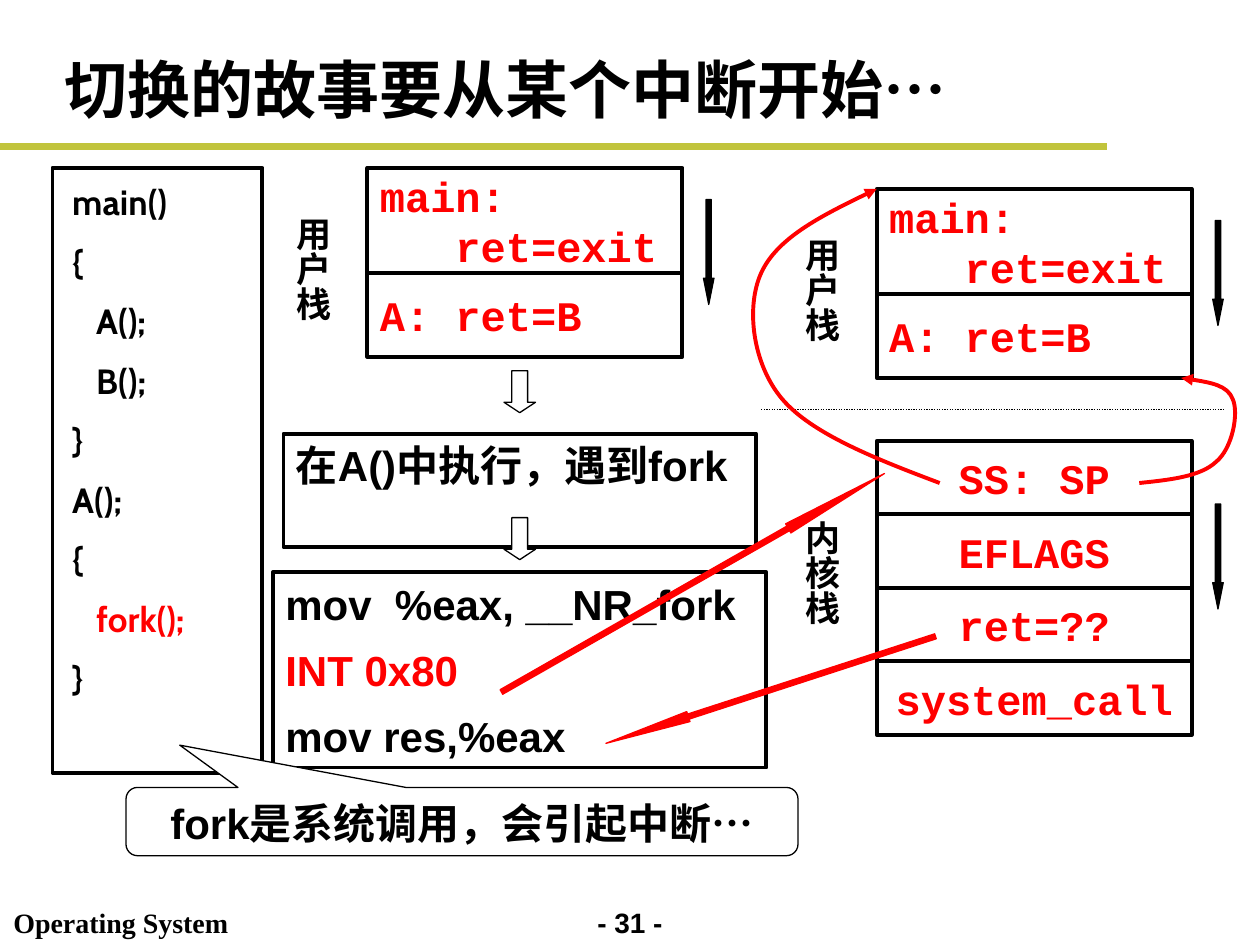
"""Build the slide on how a fork interrupt switches from the user stack to the kernel stack."""
from itertools import accumulate
from lxml.etree import SubElement
from pptx import Presentation
from pptx.dml.color import RGBColor
from pptx.enum.dml import MSO_LINE
from pptx.enum.lang import MSO_LANGUAGE_ID
from pptx.enum.shapes import MSO_CONNECTOR, MSO_SHAPE
from pptx.enum.text import MSO_ANCHOR, PP_ALIGN
from pptx.oxml.ns import qn
from pptx.util import Inches, Pt

THEME = {
    "black": "000000", "red": "FF0000", "white": "FFFFFF", "olive": "C1C43C",
    "sans": "Arial", "code": "Cabin", "mono": "Courier New", "serif": "Times New Roman",
    "title": 36, "body": 24, "small": 20, "footer": 16,
    "thin": 0.75, "border": 2.25, "rule": 4,
}
COLUMNS, ROWS = 120, 90

TITLE = "切换的故事要从某个中断开始…"
PROGRAM = [("main()", 0, "black"), ("{", 0, "black"), ("A();", 0.19, "black"),
           ("B();", 0.19, "black"), ("}", 0, "black"), ("A();", 0, "black"),
           ("{", 0, "black"), ("fork();", 0.19, "red"), ("}", 0, "black")]
USER_FRAMES = [([("main:", 0, "red"), ("ret=exit", 0.6, "red")], 10),
               ([("A: ret=B", 0, "red")], 8)]
KERNEL_FRAMES = [([(word, 0, "red")], 7) for word in ("SS: SP", "EFLAGS", "ret=??", "system_call")]
STACKS = [
    {"label": "用户栈", "corner": (35, 16), "frames": USER_FRAMES, "label_at": (26, 19.4),
     "growth_at": (62.5, 23.5), "align": PP_ALIGN.LEFT},
    {"label": "用户栈", "corner": (83.5, 18), "frames": USER_FRAMES, "label_at": (74.5, 21.4),
     "growth_at": (111, 25.5), "align": PP_ALIGN.LEFT},
    {"label": "内核栈", "corner": (83.5, 42), "frames": KERNEL_FRAMES, "label_at": (74.5, 48.4),
     "growth_at": (111, 52.5), "align": PP_ALIGN.CENTER},
]
ENCOUNTER = [("在A()中执行，遇到fork", 0, "black")]
ASSEMBLY = [("mov  %eax, __NR_fork", 0, "black"), ("INT 0x80", 0, "red"),
            ("mov res,%eax", 0, "black")]
REMARK = [("fork是系统调用，会引起中断…", 0, "black")]
POINTER_CURVES = [
    [(108.5, 46), (111.4, 45.7), (114.3, 45.4), (115.8, 44), (117.4, 42.7),
     (118, 39.3), (117.4, 38), (116.9, 36.7), (114.7, 36.3), (112.5, 36)],
    [(89.5, 46), (83.4, 43.7), (77.3, 41.3), (74.5, 38), (71.7, 34.7),
     (71, 29.3), (72.5, 26), (74, 22.7), (78.7, 20.3), (83.5, 18)],
]
STEP_ARROWS = [(48, 35.3), (48, 49.3)]
JUMP_ARROWS = [((45, 55, 42, 1), 330.3, 10.53), ((56.9, 65.2, 33, 1), 162, 8.24)]

deck = Presentation()
deck.slide_width, deck.slide_height = Inches(10), Inches(7.5)
slide = deck.slides.add_slide(deck.slide_layouts[6])
shapes = slide.shapes


def place(x, y):
    return int(deck.slide_width * x / COLUMNS), int(deck.slide_height * y / ROWS)


def color(name):
    return RGBColor.from_string(THEME[name])


def write(owner, lines, size, font="sans", align=PP_ALIGN.LEFT, before=0,
          anchor=MSO_ANCHOR.TOP):
    frame = owner.text_frame
    frame.word_wrap, frame.vertical_anchor = True, anchor
    frame.text = "\n".join(words for words, _, _ in lines)
    for paragraph, (_, indent, ink) in zip(frame.paragraphs, lines):
        paragraph.alignment, paragraph.space_before = align, Pt(before)
        paragraph._p.get_or_add_pPr().set("marL", str(Inches(indent)))
        for run in paragraph.runs:
            run.font.name, run.font.size, run.font.bold = THEME[font], Pt(THEME[size]), True
            run.font.color.rgb = color(ink)
            run.font.language_id = MSO_LANGUAGE_ID.SIMPLIFIED_CHINESE
    return frame


def add_text(box, lines, size, **style):
    return write(shapes.add_textbox(*place(*box[:2]), *place(*box[2:])), lines, size, **style)


def add_block(box, kind=MSO_SHAPE.RECTANGLE, fill="white", line="black", width="thin",
              adjustments=(), turn=0):
    block = shapes.add_shape(kind, *place(*box[:2]), *place(*box[2:]))
    block.shadow.inherit = False
    if fill:
        block.fill.solid()
        block.fill.fore_color.rgb = color(fill)
    else:
        block.fill.background()
    block.line.color.rgb, block.line.width = color(line), Pt(THEME[width])
    for index, value in enumerate(adjustments):
        block.adjustments[index] = value
    block.rotation = turn
    return block


def add_rule(start, end, ink, width):
    rule = shapes.add_connector(MSO_CONNECTOR.STRAIGHT, *place(*start), *place(*end))
    rule.line.color.rgb, rule.line.width = color(ink), Pt(THEME[width])
    SubElement(rule._element.spPr, qn("a:effectLst"))
    return rule


def add_curve(points):
    first, *rest = [place(*point) for point in points]
    builder = shapes.build_freeform(*first)
    builder.add_line_segments(rest, close=False)
    curve = builder.convert_to_shape()
    curve.shadow.inherit = False
    curve.fill.background()
    curve.line.color.rgb, curve.line.width = color("red"), Pt(THEME["border"])
    SubElement(curve.line._get_or_add_ln(), qn("a:tailEnd"), type="triangle")
    segments = list(curve._element.iter(qn("a:lnTo")))
    outline = segments[0].getparent()
    for index in range(0, len(segments), 3):
        bezier = SubElement(outline, qn("a:cubicBezTo"))
        for segment in segments[index:index + 3]:
            bezier.append(segment[0])
            outline.remove(segment)


def add_stack(stack):
    left, top = stack["corner"]
    heights = [height for _, height in stack["frames"]]
    for (lines, height), y in zip(stack["frames"], accumulate(heights, initial=top)):
        write(add_block((left, y, 30, height), width="border"), lines, "body", font="mono",
              align=stack["align"], anchor=MSO_ANCHOR.MIDDLE)
    add_block((*stack["growth_at"], 10, 1), MSO_SHAPE.RIGHT_ARROW, fill="black",
              adjustments=(0.5, 2.5), turn=90)
    label = add_text((*stack["label_at"], 6.4, 13), [(stack["label"], 0, "black")], "small",
                     before=12.5)
    label.margin_left = label.margin_right = Inches(0.05)
    label.margin_top = label.margin_bottom = Inches(0.1)
    label._txBody.bodyPr.set("vert", "eaVert")


add_text((54, 85.7, 12, 4.3), [("- 31 -", 0, "black")], "footer", align=PP_ALIGN.CENTER, before=10)
add_text((0.1, 85.7, 26, 4.3), [("Operating System", 0, "black")], "footer", font="serif",
         before=10)
add_rule((0, 14), (105.4, 14), "olive", "rule")
add_text((5, 4, 115, 8.9), [(TITLE, 0, "black")], "title", anchor=MSO_ANCHOR.MIDDLE)

add_block((5, 16, 20, 57.6), width="border")
add_text((5.7, 16.6, 18.7, 56.3), PROGRAM, "small", font="code", before=10)

for stack in STACKS:
    add_stack(stack)
add_rule((72.5, 39), (116.5, 39), "black", "thin").line.dash_style = MSO_LINE.ROUND_DOT
for points in POINTER_CURVES:
    add_curve(points)

write(add_block((27, 41.3, 45, 10.8), fill=None, width="border"), ENCOUNTER, "body", before=15)
write(add_block((26, 54.5, 47, 18.6), fill=None, width="border"), ASSEMBLY, "body", before=9)
for corner in STEP_ARROWS:
    add_block((*corner, 3, 4), MSO_SHAPE.DOWN_ARROW, adjustments=(0.5, 0.33))
for box, turn, head in JUMP_ARROWS:
    add_block(box, MSO_SHAPE.RIGHT_ARROW, fill="red", line="red", adjustments=(0.5, head), turn=turn)
write(add_block((12, 75, 64, 6.5), MSO_SHAPE.ROUNDED_RECTANGULAR_CALLOUT,
                adjustments=(-0.42, -1.12, 0.17)),
      REMARK, "body", align=PP_ALIGN.CENTER)

deck.save("out.pptx")
